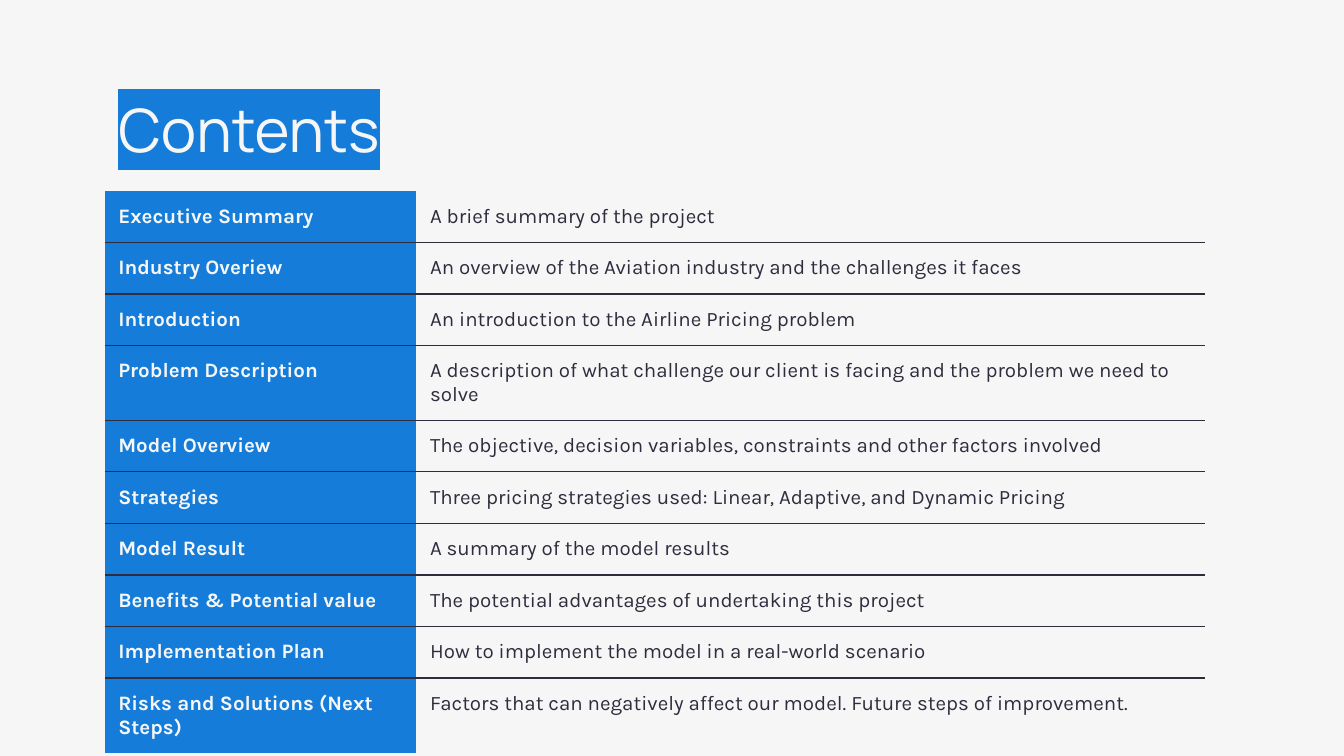
from lxml.etree import SubElement
from pptx import Presentation
from pptx.dml.color import RGBColor
from pptx.enum.text import MSO_ANCHOR, MSO_AUTO_SIZE, PP_ALIGN
from pptx.oxml.ns import qn
from pptx.util import Inches, Pt

PAPER, BLUE, INK = "F6F6F6", "157DD9", "302C3E"
LEFT = Inches(0.78)
INSET = Inches(0.1)
ROW_HEIGHT = Pt(27.62)
COLUMN_WIDTHS = (Inches(2.32), Inches(5.87))

SECTIONS = [
    ("Executive Summary", "A brief summary of the project"),
    ("Industry Overiew", "An overview of the Aviation industry and the challenges it faces"),
    ("Introduction", "An introduction to the Airline Pricing problem"),
    ("Problem Description",
     "A description of what challenge our client is facing and the problem we need to solve"),
    ("Model Overview", "The objective, decision variables, constraints and other factors involved"),
    ("Strategies", "Three pricing strategies used: Linear, Adaptive, and Dynamic Pricing"),
    ("Model Result", "A summary of the model results"),
    ("Benefits & Potential value", "The potential advantages of undertaking this project"),
    ("Implementation Plan", "How to implement the model in a real-world scenario"),
    ("Risks and Solutions (Next Steps)",
     "Factors that can negatively affect our model. Future steps of improvement."),
]


def paint(color, hex_value):
    color.rgb = RGBColor.from_string(hex_value)


def add_border(cell, side, hex_value):
    """Draw one side of a cell, or clear it when there is no colour."""
    line = SubElement(cell._tc.get_or_add_tcPr(), qn(f"a:ln{side}"), w=str(Pt(0.75)))
    if hex_value:
        fill = SubElement(line, qn("a:solidFill"))
        SubElement(fill, qn("a:srgbClr"), val=hex_value)
    else:
        SubElement(line, qn("a:noFill"))


# Page in 16:9
deck = Presentation()
deck.slide_width = Inches(10)
deck.slide_height = deck.slide_width * 9 // 16
page = deck.slides.add_slide(deck.slide_layouts[5])
page.background.fill.solid()
paint(page.background.fill.fore_color, PAPER)

# Title with highlighted text
title = page.shapes.title
title.left, title.top = LEFT, Inches(0.59)
title.width, title.height = Inches(8.44), Inches(0.63)
frame = title.text_frame
frame.text = "Contents"
frame.word_wrap = True
frame.auto_size = MSO_AUTO_SIZE.NONE
frame.vertical_anchor = MSO_ANCHOR.TOP
frame.margin_left = frame.margin_right = frame.margin_top = frame.margin_bottom = INSET
para = frame.paragraphs[0]
para.alignment = PP_ALIGN.LEFT
span = para.runs[0]
span.font.size = Pt(32)
paint(span.font.color, PAPER)
highlight = SubElement(span.font._element, qn("a:highlight"))
SubElement(highlight, qn("a:srgbClr"), val=BLUE)
span.font.name = "Manrope"

# Contents table
table = page.shapes.add_table(len(SECTIONS), 2, LEFT, Inches(1.42),
                              sum(COLUMN_WIDTHS), ROW_HEIGHT * len(SECTIONS)).table
table.first_row = table.horz_banding = False
for column, width in zip(table.columns, COLUMN_WIDTHS):
    column.width = width

last = len(SECTIONS) - 1
for row, section in enumerate(SECTIONS):
    table.rows[row].height = ROW_HEIGHT
    for column, text in enumerate(section):
        is_name = column == 0
        cell = table.cell(row, column)
        cell.margin_left = cell.margin_right = cell.margin_top = cell.margin_bottom = INSET

        # Borders come before the fill in the cell's properties
        add_border(cell, "L", None if is_name else PAPER)
        add_border(cell, "R", PAPER if is_name else None)
        add_border(cell, "T", INK if row > 0 else None)
        add_border(cell, "B", INK if row < last else None)
        if is_name:
            cell.fill.solid()
            paint(cell.fill.fore_color, BLUE)
        else:
            cell.fill.background()

        cell.text_frame.text = text
        para = cell.text_frame.paragraphs[0]
        para.space_after = Pt(0 if is_name else 16)
        span = para.runs[0]
        span.font.name, span.font.size, span.font.bold = "Karla", Pt(11), is_name
        paint(span.font.color, PAPER if is_name else INK)

deck.save("out.pptx")
